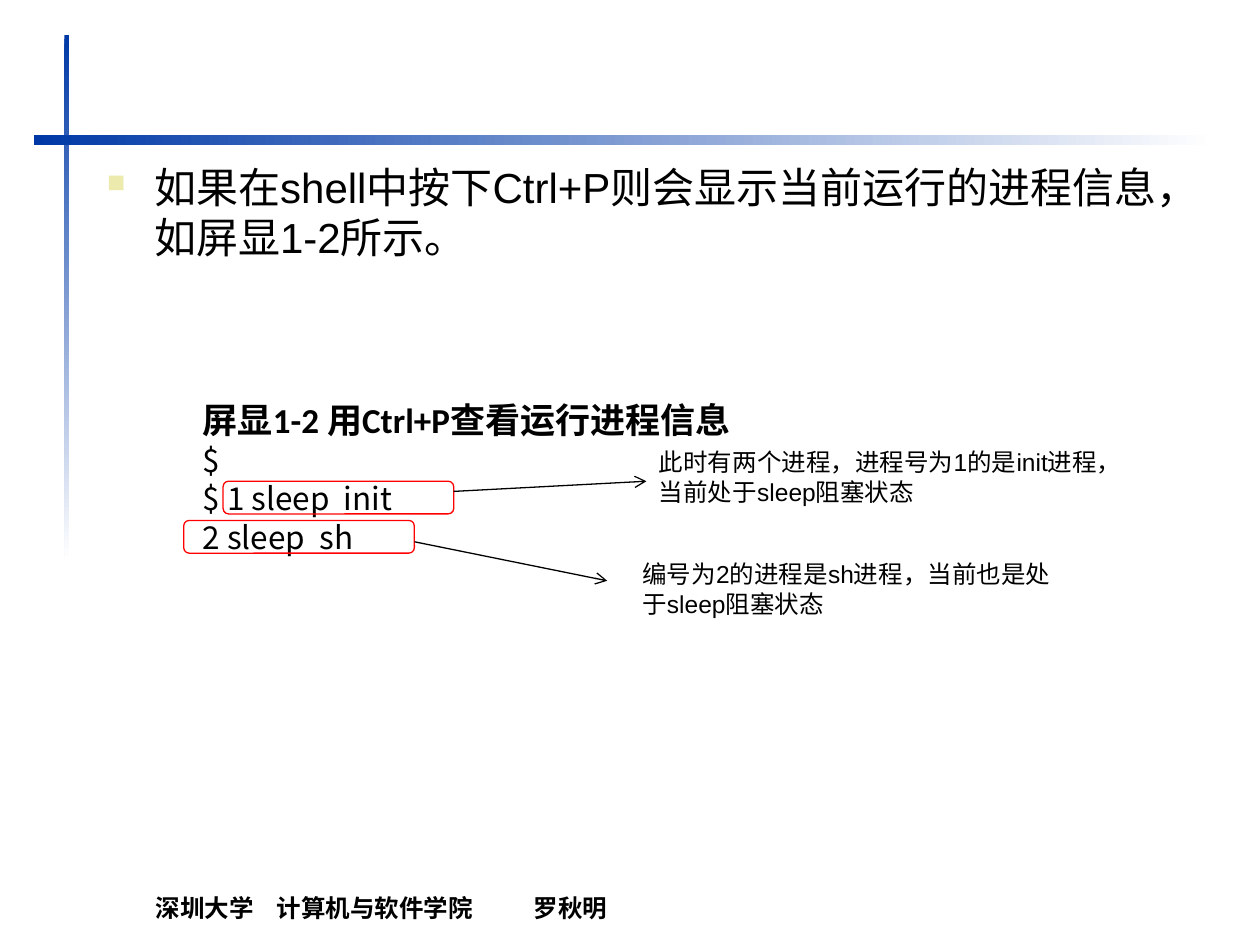
from lxml import etree
from pptx import Presentation
from pptx.dml.color import RGBColor
from pptx.enum import shapes, text
from pptx.oxml import ns
from pptx.util import Pt

BLACK = "000000"
RED = "FF0000"
BLUE = "0039A6"
WHITE = "FFFFFF"
BULLET = "ECEAAC"


def color(hex_string):
    return RGBColor.from_string(hex_string)


def add_xml(parent, tag, **attributes):
    return etree.SubElement(parent, ns.qn(tag), attributes)


def set_font(paragraph, size, name="Arial", bold=False):
    font = paragraph.font
    font.size, font.name, font.bold = Pt(size), name, bold
    font.color.rgb = color(BLACK)


def add_text(slide, box, lines, size, anchor=text.MSO_ANCHOR.TOP):
    """Add a wrapped text box and return its paragraphs."""
    frame = slide.shapes.add_textbox(*map(Pt, box)).text_frame
    frame.word_wrap = True
    frame.vertical_anchor = anchor
    frame.text = "\n".join(lines)
    for paragraph in frame.paragraphs:
        set_font(paragraph, size)
    return frame.paragraphs


def add_gradient_bar(slide, box, angle):
    bar = slide.shapes.add_shape(shapes.MSO_SHAPE.RECTANGLE, *map(Pt, box))
    bar.shadow.inherit = False
    bar.line.fill.background()
    bar.fill.gradient()
    bar.fill.gradient_angle = angle
    for stop, shade in zip(bar.fill.gradient_stops, (BLUE, WHITE)):
        stop.color.rgb = color(shade)


def add_footer(slide, box):
    footer = add_text(slide, box, ["深圳大学\t计算机与软件学院\t罗秋明"], 14,
                      text.MSO_ANCHOR.BOTTOM)[0]
    footer.font.bold = True
    properties = footer._p.get_or_add_pPr()
    tabs = etree.Element(ns.qn("a:tabLst"))
    for position in (69, 216):
        add_xml(tabs, "a:tab", pos=str(Pt(position)), algn="l")
    properties.insert(0, tabs)


def add_body(slide, box):
    body = add_text(
        slide, box,
        ["如果在shell中按下Ctrl+P则会显示当前运行的进程信息，如屏显1-2所示。"], 24)[0]
    body.space_before = Pt(4.8)
    properties = body._p.get_or_add_pPr()
    properties.set("marL", str(Pt(27)))
    properties.set("indent", str(Pt(-27)))
    bullet_color = etree.Element(ns.qn("a:buClr"))
    add_xml(bullet_color, "a:srgbClr", val=BULLET)
    bullet_size = etree.Element(ns.qn("a:buSzPct"), val="60000")
    bullet = etree.Element(ns.qn("a:buChar"), char="■")
    default_font = properties.find(ns.qn("a:defRPr"))
    for element in (bullet_color, bullet_size, bullet):
        default_font.addprevious(element)


def add_terminal(slide, box):
    """Add the listing: a bold caption above the shell output."""
    lines = ["屏显1-2 用Ctrl+P查看运行进程信息", "$", "$ 1 sleep  init", "2 sleep  sh"]
    caption, *output = add_text(slide, box, lines, 18)
    set_font(caption, 20, "Calibri", bold=True)
    for paragraph in output:
        set_font(paragraph, 18, "Noto Sans CJK JP")
        paragraph.line_spacing = Pt(22)
    for paragraph in (caption, *output):
        paragraph._p.get_or_add_pPr().set("indent", str(Pt(21)))


def add_callout(slide, frame_box, arrow, note_box, note):
    """Frame a line of output and point from it to a note."""
    frame = slide.shapes.add_shape(
        shapes.MSO_SHAPE.ROUNDED_RECTANGLE, *map(Pt, frame_box))
    frame.shadow.inherit = False
    frame.fill.background()
    frame.line.color.rgb = color(RED)
    frame.line.width = Pt(0.75)

    connector = slide.shapes.add_connector(
        shapes.MSO_CONNECTOR.STRAIGHT, *map(Pt, arrow))
    connector.line.color.rgb = color(BLACK)
    connector.line.width = Pt(0.75)
    add_xml(connector.line._get_or_add_ln(), "a:tailEnd", type="arrow")
    add_xml(connector._element.spPr, "a:effectLst")

    add_text(slide, note_box, [note], 14)


def main():
    presentation = Presentation()
    presentation.slide_width, presentation.slide_height = Pt(720), Pt(540)
    slide = presentation.slides.add_slide(presentation.slide_layouts[6])

    add_gradient_bar(slide, (36.8, 20.2, 2.8, 300), 270)
    add_gradient_bar(slide, (19.5, 77, 674.5, 5.8), 0)
    add_footer(slide, (82, 502.5, 651.5, 28))
    add_body(slide, (54, 88.5, 651.5, 103.7))
    add_terminal(slide, (87.8, 224, 400.3, 97.2))
    add_callout(slide, (127.5, 275, 131.8, 18.7), (259.2, 280.8, 369.4, 275),
                (369.4, 252, 277.2, 41),
                "此时有两个进程，进程号为1的是init进程，当前处于sleep阻塞状态")
    add_callout(slide, (105, 297.4, 131.8, 18.7), (236.9, 309.6, 347, 331.9),
                (360, 316, 255.6, 41),
                "编号为2的进程是sh进程，当前也是处于sleep阻塞状态")

    presentation.save("out.pptx")


if __name__ == "__main__":
    main()
